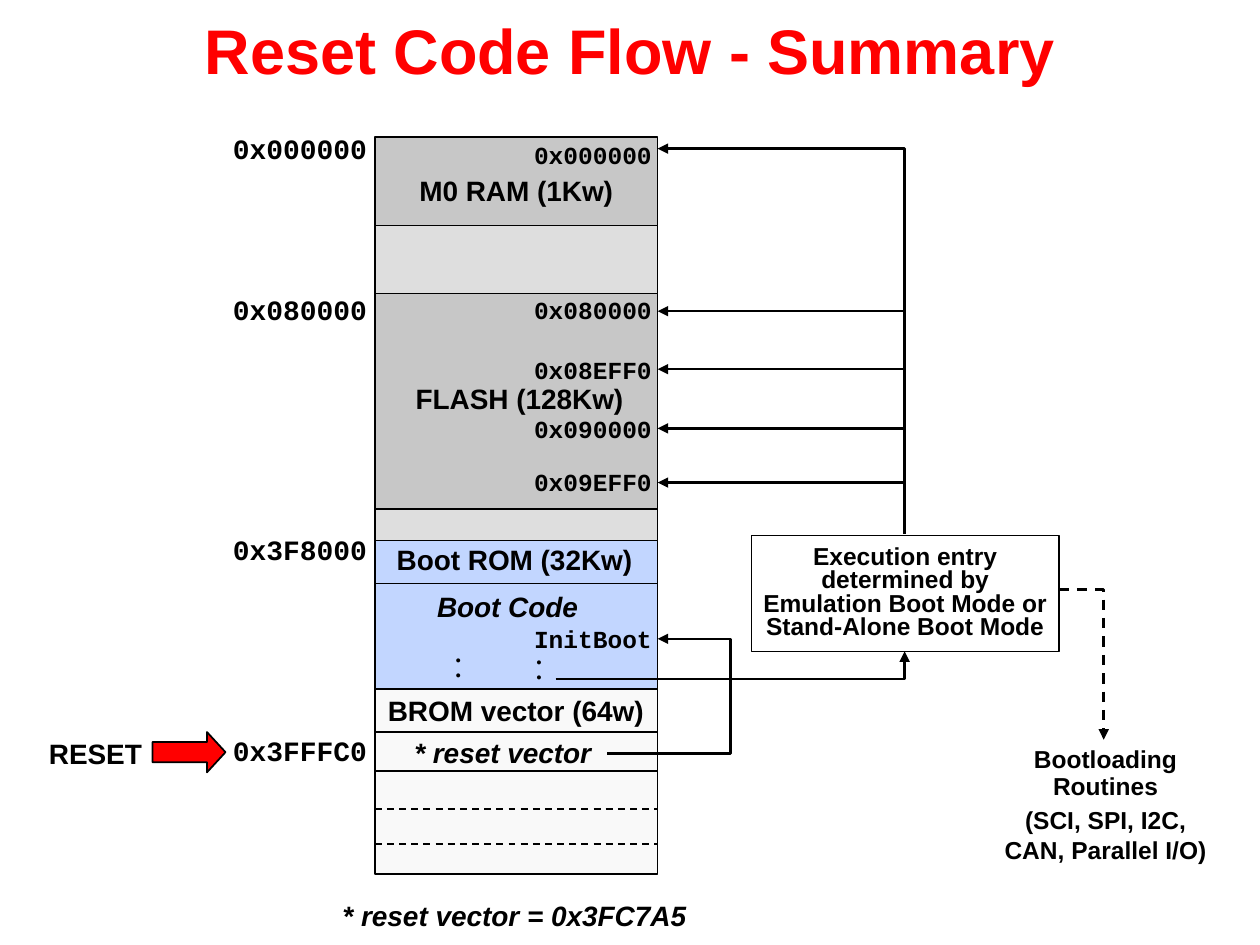
from dataclasses import dataclass

from lxml import etree
from pptx import Presentation
from pptx.dml.color import RGBColor
from pptx.enum.dml import MSO_LINE
from pptx.enum.shapes import MSO_CONNECTOR, MSO_SHAPE
from pptx.enum.text import MSO_ANCHOR, MSO_AUTO_SIZE, PP_ALIGN
from pptx.oxml.ns import qn
from pptx.util import Inches, Pt

RECT, ARROW = MSO_SHAPE.RECTANGLE, MSO_SHAPE.RIGHT_ARROW
STRAIGHT, DASH = MSO_CONNECTOR.STRAIGHT, MSO_LINE.DASH
LEFT, CENTER = PP_ALIGN.LEFT, PP_ALIGN.CENTER
TOP, MIDDLE, BOTTOM = MSO_ANCHOR.TOP, MSO_ANCHOR.MIDDLE, MSO_ANCHOR.BOTTOM
FIT, FIXED = MSO_AUTO_SIZE.SHAPE_TO_FIT_TEXT, MSO_AUTO_SIZE.NONE
COLS, ROWS = 100, 75


@dataclass
class Theme:
    black: str = "000000"
    red: str = "FF0000"
    white: str = "FFFFFF"
    pale: str = "F9F9F9"
    light: str = "DEDEDE"
    grey: str = "C7C7C7"
    blue: str = "C2D6FF"
    sans: str = "Arial"
    mono: str = "Courier New"
    title: int = 36
    label: int = 16
    small: int = 14
    dot: int = 8
    thin: float = 1
    thick: float = 1.5


theme = Theme()


def write(shape, text, size=theme.label, font=theme.sans, color=theme.black,
          italic=False, align=LEFT, anchor=TOP, wrap=False, fit=FIXED,
          pads=(0.1, 0.05, 0.1, 0.05), lead=0.8, gap=0):
    """Fill a shape with text; lead is one line spacing or one per line."""
    frame = shape.text_frame
    frame.text = text
    frame.word_wrap, frame.auto_size = wrap, fit
    frame.vertical_anchor = anchor
    (frame.margin_left, frame.margin_top,
     frame.margin_right, frame.margin_bottom) = map(Inches, pads)
    paras = frame.paragraphs
    leads = lead if isinstance(lead, tuple) else (lead,) * len(paras)
    for n, (para, share) in enumerate(zip(paras, leads)):
        para.alignment, para.line_spacing = align, share
        para.space_before = Pt(gap if 0 < n < 3 else 0)
        style = para.runs[0].font
        style.name, style.size = font, Pt(size)
        style.bold, style.italic = True, italic
        style.color.rgb = RGBColor.from_string(color)


class Board:
    """Draws on one slide; lengths are grid columns and rows."""

    def __init__(self, deck):
        self.wide, self.high = deck.slide_width, deck.slide_height
        self.shapes = deck.slides.add_slide(deck.slide_layouts[6]).shapes

    def spot(self, x, y):
        return round(x * self.wide / COLS), round(y * self.high / ROWS)

    def text(self, x, y, w, h, words, **style):
        box = self.shapes.add_textbox(*self.spot(x, y), *self.spot(w, h))
        write(box, words, **{"fit": FIT, **style})

    def block(self, x, y, w, h, fill, kind=RECT):
        shape = self.shapes.add_shape(kind, *self.spot(x, y), *self.spot(w, h))
        shape.shadow.inherit = False
        shape.fill.solid()
        shape.fill.fore_color.rgb = RGBColor.from_string(fill)
        self.ink(shape, theme.thin)
        return shape

    def ink(self, shape, width, dash=False, head=False):
        shape.line.color.rgb = RGBColor.from_string(theme.black)
        shape.line.width = Pt(width)
        if dash:
            shape.line.dash_style = DASH
        if head:
            line = shape.element.spPr.find(qn("a:ln"))
            etree.SubElement(line, qn("a:tailEnd"), type="triangle")

    def line(self, start, end, width=theme.thin, **style):
        link = self.shapes.add_connector(STRAIGHT, *self.spot(*start), *self.spot(*end))
        self.ink(link, width, **style)
        etree.SubElement(link.element.spPr, qn("a:effectLst"))

    def route(self, *points, dash=False):
        first, *rest = [self.spot(*point) for point in points]
        maker = self.shapes.build_freeform(*first)
        maker.add_line_segments(rest, close=False)
        shape = maker.convert_to_shape()
        shape.shadow.inherit = False
        shape.fill.background()
        self.ink(shape, theme.thick, dash=dash, head=True)


deck = Presentation()
deck.slide_width, deck.slide_height = Inches(10), Inches(7.5)
board = Board(deck)

# Title
board.text(0, 0, COLS, 7.8, "Reset Code Flow - Summary", size=theme.title,
           color=theme.red, align=CENTER, anchor=MIDDLE, wrap=True,
           fit=FIXED, lead=1)

# Memory map
edge, span = 29.75, 22.45
side = edge + span
board.block(edge, 54.7, span, 14.7, theme.pale)
board.block(edge, 17.9, span, 25, theme.light)
ram = board.block(edge, 10.9, span, 7, theme.grey)
write(ram, "M0 RAM (1Kw)", align=CENTER, anchor=BOTTOM, pads=(0.1, 0.35, 0.1, 0.15))
board.block(edge, 42.9, span, 11.8, theme.blue)
flash = board.block(edge, 23.3, span, 17.1, theme.grey)
write(flash, "FLASH (128Kw)", align=CENTER, anchor=MIDDLE, pads=(0.15, 0.05, 0.1, 0.05))
for y, dash in [(46.3, False), (58.1, False), (61.2, False), (64.2, True), (67, True)]:
    board.line((edge, y), (side, y), dash=dash)

# Start address of each region
for y, code in [(10.5, "0x000000"), (23.2, "0x080000"),
                (42.3, "0x3F8000"), (58.2, "0x3FFFC0")]:
    board.text(17.5, y, 12.7, 3.1, code, font=theme.mono)

# Region names
for x, y, w, name, italic in [
        (30.5, 43.1, 20.8, "Boot ROM (32Kw)", False),
        (29.8, 55.1, 22.4, "BROM vector (64w)", False),
        (31.9, 58.4, 16.4, "* reset vector", True),
        (33.7, 46.8, 13.2, "Boot Code", True),
        (2.9, 58.5, 9.4, "RESET", False),
        (26.2, 71.3, 29.6, "* reset vector = 0x3FC7A5", True)]:
    board.text(x, y, w, 3.1, name, italic=italic)

# Dots for the code left out
for x, y in [(35.2, 51.5), (41.6, 51.6)]:
    for step in (0, 1.2):
        board.text(x, y + step, 2.5, 2.1, "•", size=theme.dot)

# Reset arrow
reset = board.block(12.1, 58.1, 5.8, 3.2, theme.red, ARROW)
reset.adjustments[0], reset.adjustments[1] = 0.5, 0.46

# Entry points
for y, code in [(11.1, "0x000000"), (23.4, "0x080000"), (28.1, "0x08EFF0"),
                (32.8, "0x090000"), (37, "0x09EFF0"), (49.5, "InitBoot")]:
    board.text(41.4, y, 11.4, 3, code, size=theme.small, font=theme.mono)

# Boot mode choice and loaders
entry = board.block(59.65, 42.5, 24.4, 9.2, theme.white)
write(entry, "Execution entry\ndetermined by\nEmulation Boot Mode or\nStand-Alone Boot Mode",
      size=theme.small, align=CENTER, anchor=MIDDLE)
board.text(78.6, 59.6, 18.3, 10,
           "Bootloading\nRoutines\n(SCI, SPI, I2C,\nCAN, Parallel I/O)",
           size=theme.small, align=CENTER, wrap=True,
           lead=(0.5, 0.5, 0.8, 1), gap=theme.small / 2)

# Flow
trunk = 71.8
board.route((48.2, 59.8), (58, 59.8), (58, 50.7), (side, 50.7))
board.route((44.1, 53.9), (trunk, 53.9), (trunk, 51.7))
board.route((trunk, 42.4), (trunk, 11.8), (side, 11.8))
board.route((84, 46.8), (87.6, 46.8), (87.6, 58.7), dash=True)
for y in (24.7, 29.3, 34, 38.3):
    board.line((trunk, y), (side, y), theme.thick, head=True)

deck.save("out.pptx")
